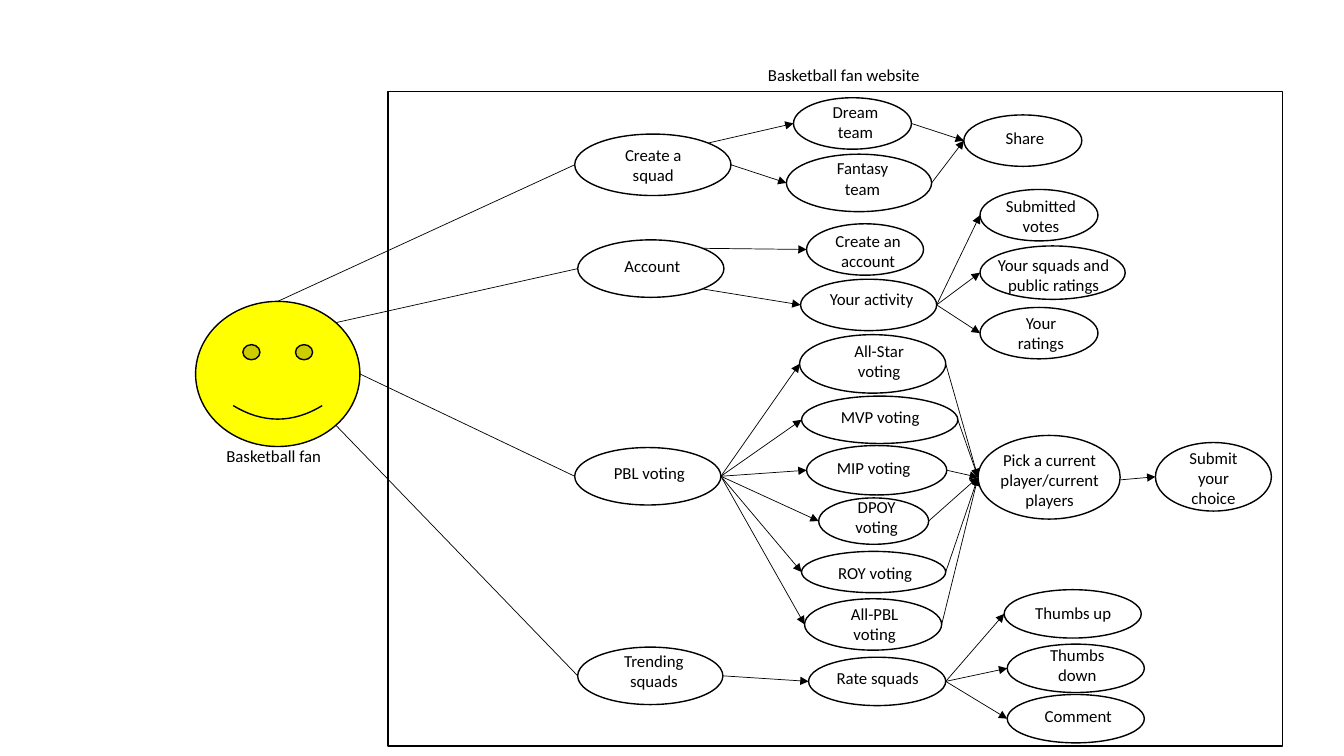
"""Builds the use case diagram of a basketball fan website."""
from math import sqrt

from lxml.etree import SubElement
from pptx import Presentation
from pptx.dml.color import RGBColor
from pptx.enum.shapes import MSO_CONNECTOR as Connector, MSO_SHAPE as Preset
from pptx.enum.text import MSO_AUTO_SIZE as AutoSize, PP_ALIGN as Align
from pptx.oxml.ns import qn
from pptx.util import Pt

PX = 9144
FONT = "Calibri"
COLORS = {"ink": "000000", "face": "FFFF00"}
TEXT_PADDING, LINE_HEIGHT = 10, 20

ACTOR = (194, 299, 163, 144)
SYSTEM = (385, 91, 887, 649)
CAPTIONS = [("Basketball fan", 188, 437, 167), ("Basketball fan website", 669, 59, 336)]

# key: (ellipse left, top, width, height), wording, (label left, top, width), lines
USE_CASES = {
    "squad": ((570, 133, 155, 61), "Create a squad", (593, 139, 110), 2),
    "account": ((573, 238, 145, 57), "Account", (592, 249, 110), 1),
    "voting": ((570, 444, 145, 57), "PBL voting", (589, 454, 110), 1),
    "trending": ((573, 642, 144, 57), "Trending squads", (594, 641, 109), 2),
    "dream": ((787, 97, 117, 51), "Dream team", (804, 96, 89), 2),
    "fantasy": ((780, 153, 144, 57), "Fantasy team", (801, 152, 109), 2),
    "share": ((956, 114, 117, 51), "Share", (972, 122, 89), 1),
    "sign up": ((800, 222, 116, 51), "Create an account", (817, 224, 88), 2),
    "activity": ((794, 277, 135, 51), "Your activity", (800, 282, 129), 1),
    "votes": ((972, 188, 117, 51), "Submitted votes", (986, 189, 93), 2),
    "public": ((972, 244, 144, 53), "Your squads and public ratings", (977, 248, 136), 2),
    "ratings": ((972, 305, 117, 51), "Your ratings", (986, 305, 93), 2),
    "all-star": ((793, 332, 145, 58), "All-Star voting", (817, 333, 110), 2),
    "mvp": ((795, 393, 155, 47), "MVP voting", (816, 399, 114), 1),
    "mip": ((800, 442, 139, 49), "MIP voting", (813, 449, 107), 1),
    "dpoy": ((812, 494, 109, 46), "DPOY voting", (828, 488, 83), 2),
    "roy": ((795, 547, 143, 41), "ROY voting", (814, 553, 108), 1),
    "all-league": ((798, 594, 136, 51), "All-PBL voting", (816, 594, 103), 2),
    "pick": ((970, 432, 141, 83), "Pick a current player/current players", (970, 441, 142), 3),
    "submit": ((1146, 439, 115, 68), "Submit your choice", (1159, 439, 89), 3),
    "rate": ((802, 652, 136, 48), "Rate squads", (819, 658, 103), 1),
    "up": ((996, 585, 136, 48), "Thumbs up", (1013, 593, 103), 1),
    "down": ((999, 639, 136, 48), "Thumbs down", (1017, 635, 103), 2),
    "comment": ((999, 689, 136, 48), "Comment", (1018, 695, 103), 1),
}
ACTOR_LINKS = [("top", "squad"), ("upper right", "account"),
               ("right", "voting"), ("lower right", "trending")]
AWARDS = ["all-star", "mvp", "mip", "dpoy", "roy", "all-league"]
ARROWS = [
    ("squad", "upper right", ["dream"]),
    ("squad", "right", ["fantasy"]),
    ("dream", "right", ["share"]),
    ("fantasy", "right", ["share"]),
    ("account", "upper right", ["sign up"]),
    ("account", "lower right", ["activity"]),
    ("activity", "right", ["votes", "public", "ratings"]),
    ("voting", "right", AWARDS),
    *[(award, "right", ["pick"]) for award in AWARDS],
    ("trending", "right", ["rate"]),
    ("rate", "right", ["up", "down", "comment"]),
]
DIAGONAL = sqrt(0.5)
DIRECTIONS = {"top": (0, -1), "left": (-1, 0), "right": (1, 0),
              "upper right": (DIAGONAL, -DIAGONAL), "lower right": (DIAGONAL, DIAGONAL)}


def color(name):
    return RGBColor.from_string(COLORS[name])


def emu(*lengths):
    return [round(length * PX) for length in lengths]


def rim(frame, side):
    left, top, width, height = frame
    across, down = DIRECTIONS[side]
    return left + width / 2 * (1 + across), top + height / 2 * (1 + down)


def add_outline(page, preset, frame, fill=None):
    shape = page.shapes.add_shape(preset, *emu(*frame))
    shape.shadow.inherit = False
    if fill:
        shape.fill.solid()
        shape.fill.fore_color.rgb = color(fill)
    else:
        shape.fill.background()
    shape.line.color.rgb = color("ink")
    shape.line.width = Pt(1)


def add_label(page, wording, left, top, width, lines=1):
    height = TEXT_PADDING + LINE_HEIGHT * lines
    box = page.shapes.add_textbox(*emu(left, top, width, height))
    frame = box.text_frame
    frame.word_wrap = True
    frame.auto_size = AutoSize.SHAPE_TO_FIT_TEXT
    frame.text = wording
    para = frame.paragraphs[0]
    para.alignment = Align.CENTER
    font = para.runs[0].font
    font.name, font.size = FONT, Pt(12)
    font.color.rgb = color("ink")
    return box


def add_link(page, start, end, arrow=True):
    link = page.shapes.add_connector(Connector.STRAIGHT, *emu(*start, *end))
    link.line.color.rgb = color("ink")
    link.line.width = Pt(0.5)
    properties = link.element.spPr
    if arrow:
        SubElement(properties.find(qn("a:ln")), qn("a:tailEnd"), type="triangle")
    SubElement(properties, qn("a:effectLst"))
    return link


def main():
    deck = Presentation()
    deck.slide_width, deck.slide_height = emu(1333, 750)
    page = deck.slides.add_slide(deck.slide_layouts[6])

    add_outline(page, Preset.SMILEY_FACE, ACTOR, "face")
    add_outline(page, Preset.RECTANGLE, SYSTEM)
    for caption in CAPTIONS:
        add_label(page, *caption)

    labels = {}
    for key, (oval, wording, place, lines) in USE_CASES.items():
        add_outline(page, Preset.OVAL, oval)
        labels[key] = add_label(page, wording, *place, lines)

    entries = {key: rim(case[0], "left") for key, case in USE_CASES.items()}
    for side, target in ACTOR_LINKS:
        add_link(page, rim(ACTOR, side), entries[target], arrow=False)
    for source, side, targets in ARROWS:
        for target in targets:
            add_link(page, rim(USE_CASES[source][0], side), entries[target])

    choice = add_link(page, rim(USE_CASES["pick"][0], "right"), entries["submit"])
    choice.begin_connect(labels["pick"], 3)
    deck.save("out.pptx")


if __name__ == "__main__":
    main()
